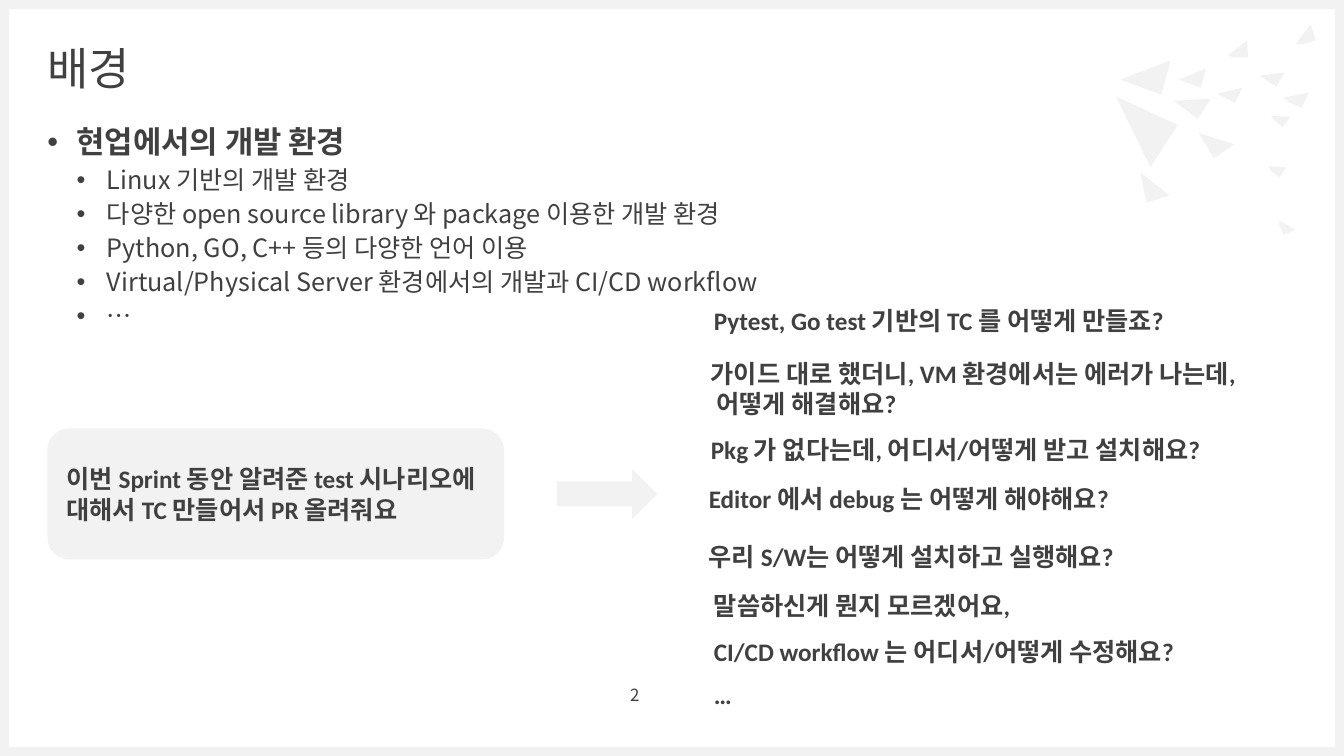
from dataclasses import dataclass

from lxml import etree
from pptx import Presentation
from pptx import util as u
from pptx.dml.color import RGBColor
from pptx.enum import shapes, text
from pptx.oxml import ns

GRAY, INK = "F2F2F2", "404040"
SANS, LATIN = "Noto Sans CJK KR", "Calibri"
WIDTH, HEIGHT, FRAME = 13.33, 7.5, 0.09


@dataclass
class Callout:
    left: float
    top: float
    width: float
    words: str


@dataclass
class Bullet:
    words: str
    size: float = 18
    bold: bool = False
    indent: float = 0.59
    hang: float = 0.3
    before: float = 5


TRIANGLES = [
    [(11.61, 0.6), (11.52, 0.94), (11.11, 0.79)],
    [(12.01, 0.98), (11.88, 1.18), (11.64, 1)],
    [(11.96, 0.68), (11.91, 0.87), (11.69, 0.79)],
    [(12.32, 0.87), (12.25, 1.02), (12.07, 0.93)],
    [(12.37, 0.4), (12.38, 0.57), (12.24, 0.57), (12.18, 0.55)],
    [(12.8, 1.16), (12.72, 1.26), (12.64, 1.19), (12.61, 1.15)],
    [(13, 0.24), (13.05, 0.4), (12.92, 0.44), (12.85, 0.44)],
    [(12.74, 0.72), (12.66, 0.86), (12.49, 0.75)],
    [(12.98, 0.92), (12.91, 1.07), (12.78, 1.01), (12.73, 0.97)],
    [(11.68, 1.24), (11.41, 1.66), (11.07, 0.96)],
    [(12.24, 1.43), (12.04, 1.57), (11.89, 1.32)],
    [(12.76, 1.66), (12.69, 1.76), (12.6, 1.69), (12.58, 1.65)],
    [(11.6, 1.94), (11.37, 2.01), (11.31, 1.71)],
    [(12.85, 2.28), (12.73, 2.33), (12.69, 2.23), (12.69, 2.19)],
]

BULLETS = [
    Bullet("현업에서의 개발 환경", 22, True, 0.29, 0.29, 10),
    Bullet("Linux 기반의 개발 환경"),
    Bullet("다양한 open source library 와 package 이용한 개발 환경"),
    Bullet("Python, GO, C++ 등의 다양한 언어 이용"),
    Bullet("Virtual/Physical Server 환경에서의 개발과 CI/CD workflow"),
    Bullet("…"),
]

CALLOUTS = [
    Callout(0.66, 4.6, 4.26, "이번 Sprint 동안 알려준 test 시나리오에 대해서 TC 만들어서 PR 올려줘요"),
    Callout(7.08, 3.03, 4.77, "Pytest, Go test 기반의 TC 를 어떻게 만들죠?"),
    Callout(7.05, 3.55, 5.16, "가이드 대로 했더니, VM 환경에서는 에러가 나는데, 어떻게 해결해요?"),
    Callout(7.05, 4.31, 6.11, "Pkg 가 없다는데, 어디서/어떻게 받고 설치해요?"),
    Callout(7.03, 4.79, 6.11, "Editor 에서 debug 는 어떻게 해야해요?"),
    Callout(7.03, 5.37, 6.11, "우리 S/W는 어떻게 설치하고 실행해요?"),
    Callout(7.08, 5.86, 6.11, "말씀하신게 뭔지 모르겠어요,"),
    Callout(7.08, 6.31, 6.11, "CI/CD workflow 는 어디서/어떻게 수정해요?"),
    Callout(7.08, 6.74, 4.77, "…"),
]


def color(value: str) -> RGBColor:
    return RGBColor.from_string(value)


def paint(shape) -> None:
    """Give a shape the flat gray look, with no line or shadow."""
    shape.shadow.inherit = False
    shape.fill.solid()
    shape.fill.fore_color.rgb = color(GRAY)
    shape.line.fill.background()


def add_block(page, kind, left: float, top: float, width: float, height: float):
    block = page.shapes.add_shape(kind, *map(u.Inches, (left, top, width, height)))
    paint(block)
    return block


def add_polygon(page, points: list) -> None:
    corners = [(u.Inches(x), u.Inches(y)) for x, y in points]
    builder = page.shapes.build_freeform(*corners[0])
    builder.add_line_segments(corners[1:], close=True)
    paint(builder.convert_to_shape())


def add_box(page, left: float, top: float, width: float, height: float):
    """Add a wrapping text box without margins and return its text frame."""
    frame = page.shapes.add_textbox(*map(u.Inches, (left, top, width, height))).text_frame
    frame.word_wrap = True
    frame.margin_left = frame.margin_top = frame.margin_right = frame.margin_bottom = 0
    return frame


def write(para, words: str, *, size: float, font: str = SANS, bold: bool = False,
          align=text.PP_ALIGN.LEFT, spacing: float = 1.0, before: float = 0) -> None:
    para.alignment = align
    para.line_spacing = spacing
    para.space_before = u.Pt(before)
    span = para.add_run()
    span.text = words
    span.font.size = u.Pt(size)
    span.font.bold = bold
    span.font.name = font
    span.font.color.rgb = color(INK)
    east_asian = etree.SubElement(span.font._element, ns.qn("a:ea"))
    east_asian.set("typeface", SANS)


def add_bullet(para, bullet: Bullet) -> None:
    write(para, bullet.words, size=bullet.size, bold=bullet.bold,
          spacing=0.9, before=bullet.before)
    properties = para._p.get_or_add_pPr()
    properties.set("marL", str(u.Inches(bullet.indent)))
    properties.set("indent", str(-u.Inches(bullet.hang)))
    etree.SubElement(properties, ns.qn("a:buFont")).set("typeface", "Arial")
    etree.SubElement(properties, ns.qn("a:buChar")).set("char", "•")


def add_background(page) -> None:
    kind = shapes.MSO_SHAPE.RECTANGLE
    for top in (0, HEIGHT - FRAME):
        add_block(page, kind, 0, top, WIDTH, FRAME)
    for left in (0, WIDTH - FRAME):
        add_block(page, kind, left, 0, FRAME, HEIGHT)
    for points in TRIANGLES:
        add_polygon(page, points)


def add_page_number(page, number: str) -> None:
    circle = add_block(page, shapes.MSO_SHAPE.OVAL, 6.04, 6.66, 0.47, 0.47)
    circle.fill.background()
    circle.text_frame.vertical_anchor = text.MSO_ANCHOR.MIDDLE
    write(circle.text_frame.paragraphs[0], number, size=12, align=text.PP_ALIGN.RIGHT)


def main() -> None:
    deck = Presentation()
    deck.slide_width, deck.slide_height = u.Inches(WIDTH), u.Inches(HEIGHT)
    page = deck.slides.add_slide(deck.slide_layouts[6])
    add_background(page)

    body = add_box(page, 0.47, 1.26, 12.4, 5.12)
    for index, bullet in enumerate(BULLETS):
        add_bullet(body.add_paragraph() if index else body.paragraphs[0], bullet)

    title = add_box(page, 0.47, 0.47, 12.4, 0.47)
    title.vertical_anchor = text.MSO_ANCHOR.MIDDLE
    write(title.paragraphs[0], "배경", size=32, spacing=0.9)

    add_page_number(page, "2")
    add_block(page, shapes.MSO_SHAPE.ROUNDED_RECTANGLE, 0.47, 4.25, 4.53, 1.3)
    add_block(page, shapes.MSO_SHAPE.RIGHT_ARROW, 5.52, 4.65, 1, 0.5)
    for callout in CALLOUTS:
        frame = add_box(page, callout.left, callout.top, callout.width, 0.51)
        write(frame.paragraphs[0], callout.words, size=18, font=LATIN, bold=True)

    deck.save("out.pptx")


if __name__ == "__main__":
    main()
